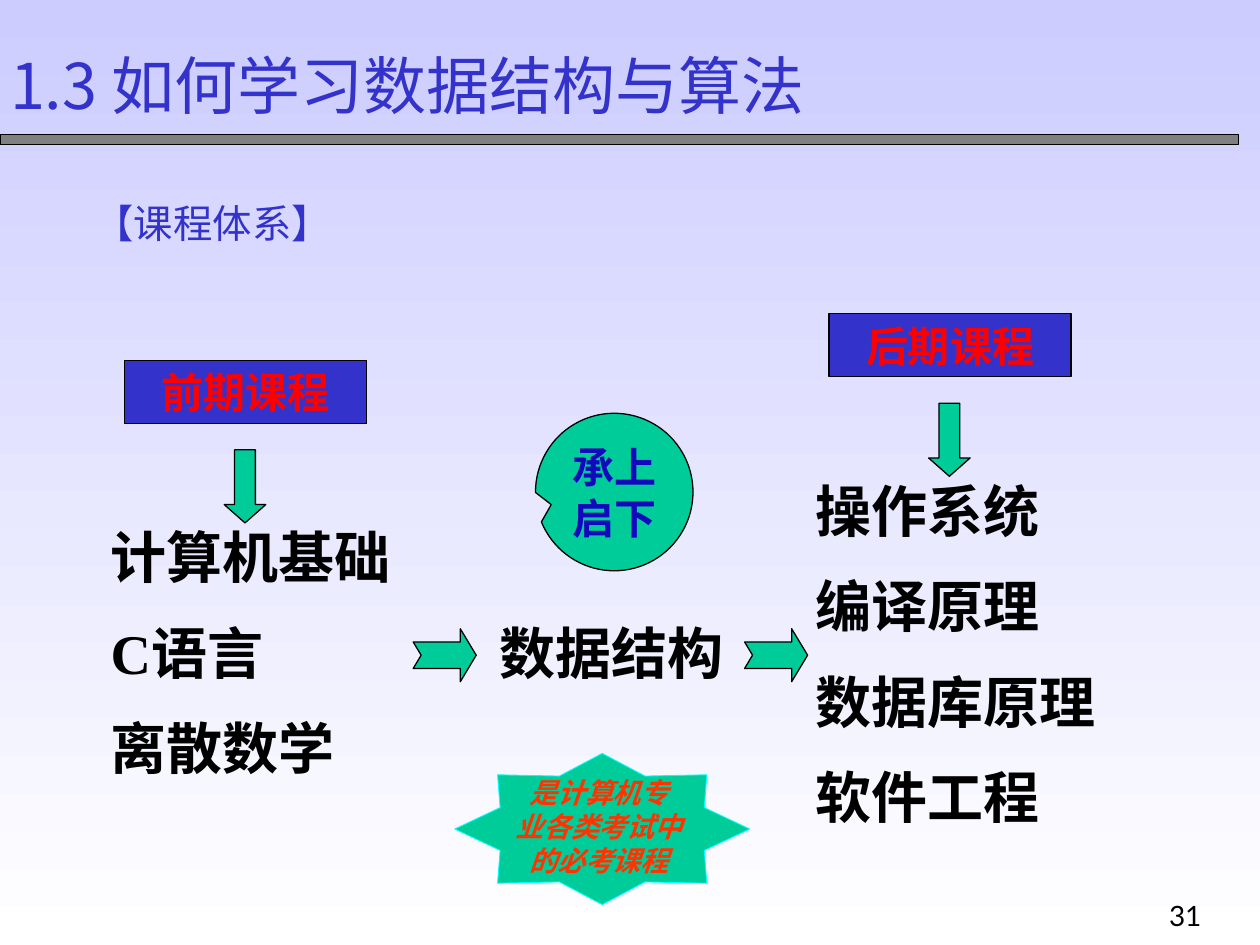
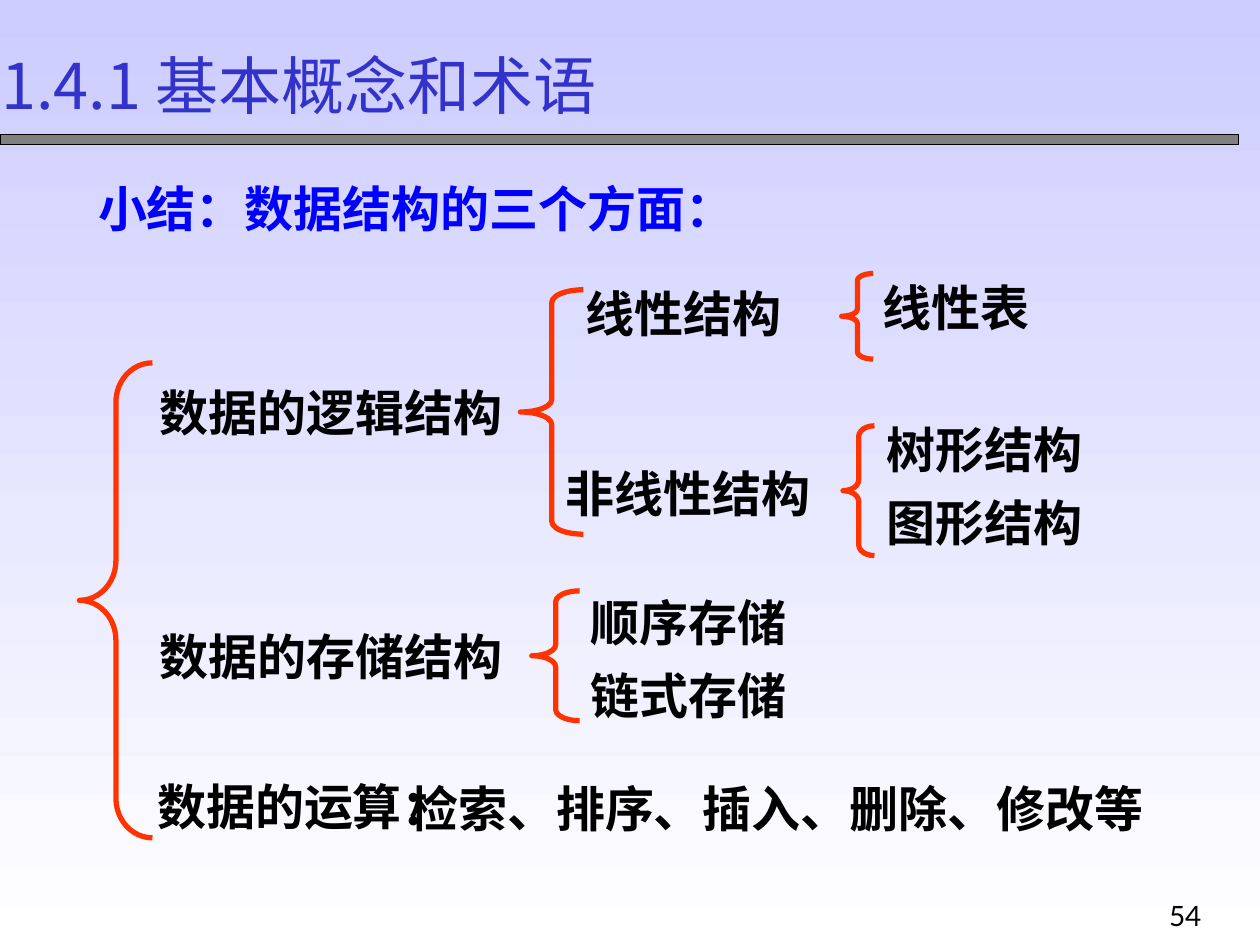
import dataclasses

import pptx
import pptx.dml.color
import pptx.enum.shapes
import pptx.enum.text
import pptx.oxml.ns
import pptx.util
from lxml import etree

Inches = pptx.util.Inches
SHAPE = pptx.enum.shapes.MSO_SHAPE
ALIGN = pptx.enum.text.PP_ALIGN
ANCHOR = pptx.enum.text.MSO_ANCHOR


@dataclasses.dataclass(frozen=True)
class Theme:
    """Colours, fonts and type sizes of the deck."""
    sky: str = "CCCCFF"
    white: str = "FFFFFF"
    black: str = "000000"
    band: str = "808080"
    indigo: str = "3333CC"
    blue: str = "0000FF"
    navy: str = "1209BD"
    green: str = "00CC99"
    cyan: str = "00FFFF"
    red: str = "FF0000"
    orange: str = "FF3300"
    serif: str = "Times New Roman"
    sans: str = "Arial"
    plain: str = "Lato"
    cjk: str = "Noto Sans CJK SC"
    title: float = 36
    course: float = 32
    node: float = 28
    label: float = 24
    heading: float = 22.5
    small: float = 16


T = Theme()


def rgb(value):
    """Turn a hex string into a colour."""
    return pptx.dml.color.RGBColor.from_string(value)


def write(tf, text, *, size, color=T.black, font=T.serif, bold=False, italic=False,
          align=ALIGN.LEFT, anchor=ANCHOR.TOP, wrap=True, before=0, spacing=None):
    """Fill a text frame, one paragraph for each line of text."""
    tf.word_wrap = wrap
    tf.auto_size = pptx.enum.text.MSO_AUTO_SIZE.NONE
    tf.vertical_anchor = anchor
    tf.margin_left = tf.margin_right = Inches(0.1)
    tf.margin_top = tf.margin_bottom = Inches(0.05)
    for i, line in enumerate(text.split("\n")):
        p = tf.add_paragraph() if i else tf.paragraphs[0]
        p.alignment = align
        p.space_before = pptx.util.Pt(before if i else 0)
        p.line_spacing = spacing
        r = p.add_run()
        r.text = line
        r.font.name = font
        r.font.size = pptx.util.Pt(size)
        r.font.bold = bold
        r.font.italic = italic
        r.font.color.rgb = rgb(color)
        ea = etree.SubElement(r.font._element, pptx.oxml.ns.qn("a:ea"))
        ea.set("typeface", T.plain)


def add_text(s, text, left, top, width, height, **fmt):
    """Add a text box."""
    sp = s.shapes.add_textbox(Inches(left), Inches(top), Inches(width), Inches(height))
    write(sp.text_frame, text, **fmt)


def paint(sp, fill, line, weight):
    """Set fill and outline, and drop the shadow."""
    sp.shadow.inherit = False
    if fill:
        sp.fill.solid()
        sp.fill.fore_color.rgb = rgb(fill)
    else:
        sp.fill.background()
    sp.line.color.rgb = rgb(line)
    sp.line.width = pptx.util.Pt(weight)


def add_shape(s, kind, left, top, width, height, fill=T.green, line=T.black,
              weight=0.75, adj=()):
    """Add a preset shape."""
    sp = s.shapes.add_shape(kind, Inches(left), Inches(top), Inches(width), Inches(height))
    for i, value in enumerate(adj):
        sp.adjustments[i] = value
    paint(sp, fill, line, weight)
    return sp


def add_brace(s, left, top, width, height, curl):
    """Add an open brace that groups the items to its right."""
    add_shape(s, SHAPE.LEFT_BRACE, left, top, width, height, None, T.orange, 3, (curl, 0.5))


def add_node(s, text, left, top, color=T.black):
    """Add a one-line bold item whose box fits its characters."""
    add_text(s, text, left, top, 0.39 * len(text) + 0.2, 0.57, size=T.node,
             color=color, bold=True, wrap=False)


def add_course_group(s, label, courses, left, top):
    """Add a labelled box, a down arrow and the courses below it."""
    sp = add_shape(s, SHAPE.RECTANGLE, left + 0.13, top, 1.92, 0.5, T.indigo)
    write(sp.text_frame, label, size=T.label, color=T.red, bold=True,
          align=ALIGN.CENTER, anchor=ANCHOR.MIDDLE)
    add_shape(s, SHAPE.DOWN_ARROW, left + 0.92, top + 0.71, 0.33, 0.58, adj=(0.5, 0.44))
    add_text(s, "\n".join(courses), left - 0.08, top + 1.3, 2.92, 0.76 * len(courses) - 0.18,
             size=T.course, bold=True, before=20, spacing=0.9)


def add_star(s, x, y):
    """Add an eight-pointed star, mirrored from one quarter of its outline."""
    quarter = [(1.17, 0), (0.81, 0.17), (0.83, 0.43), (0.34, 0.42), (0, 0.6)]
    half = quarter + [(-dx, dy) for dx, dy in quarter[-2::-1]]
    points = half + [(-dx, -dy) for dx, dy in half[1:-1]]
    outline = [(Inches(x + dx), Inches(y + dy)) for dx, dy in points]
    fb = s.shapes.build_freeform(*outline[0])
    fb.add_line_segments(outline[1:], close=True)
    paint(fb.convert_to_shape(), T.green, T.cyan, 0.5)


def set_background(prs):
    """Give the master a vertical gradient."""
    fill = prs.slide_master.background.fill
    fill.gradient()
    fill.gradient_angle = 270
    for stop, color, position in zip(fill.gradient_stops, (T.sky, T.white), (0, 1)):
        stop.color.rgb = rgb(color)
        stop.position = position


def add_slide(prs, title, left, width, number):
    """Add a slide with its band, title and page number."""
    s = prs.slides.add_slide(prs.slide_layouts[5])
    add_shape(s, SHAPE.RECTANGLE, 0, 1.07, 9.83, 0.08, T.band)
    sp = s.shapes.title
    sp.left, sp.top, sp.width, sp.height = map(Inches, (left, 0.32, width, 0.7))
    write(sp.text_frame, title, size=T.title, color=T.indigo, font=T.cjk, wrap=False)
    add_text(s, number, 9.18, 7.08, 0.6, 0.42, size=T.small, font=T.plain, wrap=False)
    return s


def build_courses(prs):
    """Show which courses come before and after data structures."""
    s = add_slide(prs, "1.3 如何学习数据结构与算法", -0.02, 7.02, "31")
    add_text(s, "【课程体系】", 0.65, 1.5, 3.49, 0.5, size=T.heading, color=T.indigo,
             font=T.plain, anchor=ANCHOR.BOTTOM, spacing=0.8)
    add_course_group(s, "前期课程", ["计算机基础", "C语言", "离散数学"], 0.86, 2.86)
    add_course_group(s, "后期课程", ["操作系统", "编译原理", "数据库原理", "软件工程"],
                     6.45 + 0.14 - 0.14, 2.49)
    add_text(s, "数据结构", 3.87, 4.86, 2.17, 0.64, size=T.course, bold=True)
    for left in (3.28, 5.91):
        add_shape(s, SHAPE.NOTCHED_RIGHT_ARROW, left, 4.99, 0.5, 0.42, adj=(0.5, 0.3))
    sp = add_shape(s, SHAPE.OVAL_CALLOUT, 4.25, 3.28, 1.25, 1.25, adj=(-0.4, 0.08))
    write(sp.text_frame, "承上启下", size=T.label, color=T.navy, bold=True,
          align=ALIGN.CENTER, anchor=ANCHOR.MIDDLE)
    add_star(s, 4.78, 6.58)
    add_text(s, "是计算机专\n业各类考试中\n的必考课程", 3.92, 6.11, 1.67, 0.9, size=T.small,
             color=T.orange, font=T.sans, bold=True, italic=True, align=ALIGN.CENTER)


def build_summary(prs):
    """Show the three aspects of data structures as a brace tree."""
    s = add_slide(prs, "1.4.1 基本概念和术语", -0.09, 5.62, "54")
    add_node(s, "小结：数据结构的三个方面：", 0.68, 1.37, T.blue)
    braces = [
        (0.63, 2.88, 0.58, 3.77, 0.54),
        (4.22, 4.69, 0.38, 1.03, 0.23),
        (4.13, 2.3, 0.5, 1.94, 0.2),
        (6.68, 2.17, 0.25, 0.68, 0.23),
        (6.69, 3.38, 0.25, 1.03, 0.34),
    ]
    for brace in braces:
        add_brace(s, *brace)
    nodes = [
        ("数据的逻辑结构", 1.17, 2.99),
        ("数据的存储结构", 1.17, 4.92),
        ("数据的运算：", 1.15, 6.11),
        ("线性结构", 4.55, 2.2),
        ("非线性结构", 4.39, 3.63),
        ("顺序存储", 4.59, 4.65),
        ("链式存储", 4.59, 5.23),
        ("线性表", 6.91, 2.15),
        ("树形结构", 6.94, 3.28),
        ("图形结构", 6.94, 3.86),
        ("检索、排序、插入、删除、修改等", 3.15, 6.13),
    ]
    for node in nodes:
        add_node(s, *node)


def main():
    """Build and save the deck."""
    prs = pptx.Presentation()
    prs.slide_width, prs.slide_height = Inches(10), Inches(7.5)
    set_background(prs)
    build_courses(prs)
    build_summary(prs)
    prs.save("out.pptx")


if __name__ == "__main__":
    main()
